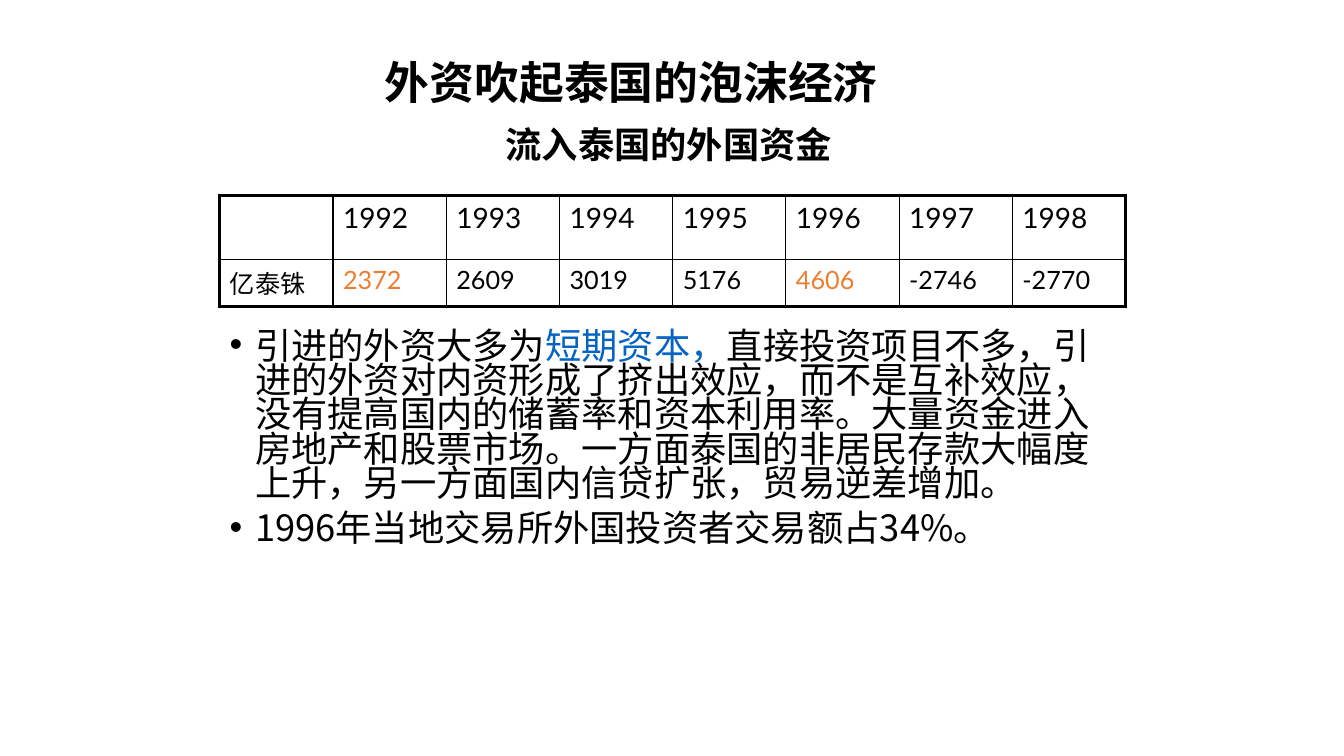
import lxml.etree
import pptx
import pptx.dml.color
import pptx.enum.text
import pptx.oxml.ns
import pptx.util

Cm = pptx.util.Cm
Pt = pptx.util.Pt
Align = pptx.enum.text.PP_ALIGN
Anchor = pptx.enum.text.MSO_ANCHOR
BLACK = pptx.dml.color.RGBColor(0x00, 0x00, 0x00)
ORANGE = pptx.dml.color.RGBColor(0xED, 0x7D, 0x31)
BLUE = pptx.dml.color.RGBColor(0x05, 0x63, 0xC1)
CHINESE_FONT = "Noto Sans CJK SC"
LATIN_FONT = "Lato"

YEARS = ["", "1992", "1993", "1994", "1995", "1996", "1997", "1998"]
INFLOWS = ["亿泰铢", "2372", "2609", "3019", "5176", "4606", "-2746", "-2770"]
HIGHLIGHTED = ("2372", "4606")
POINTS = [
    [
        ("引进的外资大多为", BLACK),
        ("短期资本，", BLUE),
        ("直接投资项目不多，引进的外资对内资形成了挤出效应，而不是互补效应，"
         "没有提高国内的储蓄率和资本利用率。大量资金进入房地产和股票市场。"
         "一方面泰国的非居民存款大幅度上升，另一方面国内信贷扩张，贸易逆差增加。", BLACK),
    ],
    [("1996年当地交易所外国投资者交易额占34%。", BLACK)],
]


def add_child(parent, tag, **attributes):
    """Append a DrawingML element and return it."""
    return lxml.etree.SubElement(parent, pptx.oxml.ns.qn(tag), **attributes)


def add_text(paragraph, text, size=25.9, color=BLACK, bold=False, font=CHINESE_FONT):
    """Add a formatted run to a paragraph."""
    run = paragraph.add_run()
    run.text = text
    run.font.size = Pt(size)
    run.font.bold = bold
    run.font.color.rgb = color
    run.font.name = font
    add_child(run.font._element, "a:ea", typeface=CHINESE_FONT)


def add_frame(slide, left, top, width, height, anchor):
    """Add a wrapping text box and return its text frame."""
    frame = slide.shapes.add_textbox(left, top, width, height).text_frame
    frame.word_wrap = True
    frame.vertical_anchor = anchor
    return frame


def add_heading(slide, left, top, width, height, text, size):
    """Add a bold centred heading."""
    paragraph = add_frame(slide, left, top, width, height, Anchor.MIDDLE).paragraphs[0]
    paragraph.alignment = Align.CENTER
    paragraph.line_spacing = 0.9
    add_text(paragraph, text, size=size, bold=True)


def set_borders(cell, widths):
    """Draw black cell borders from a mapping of side to width in points."""
    properties = cell._tc.get_or_add_tcPr()
    for position, side in enumerate("LRTB"):
        line = add_child(properties, f"a:ln{side}", w=str(Pt(widths[side])))
        add_child(add_child(line, "a:solidFill"), "a:srgbClr", val=str(BLACK))
        properties.insert(position, line)


def add_inflow_table(slide, left, top, width, row_heights):
    """Add the table of yearly capital inflows."""
    rows = [YEARS, INFLOWS]
    last_row, last_column = len(rows) - 1, len(YEARS) - 1
    table = slide.shapes.add_table(
        len(rows), len(YEARS), left, top, width, sum(row_heights)).table
    table.first_row = False
    table.horz_banding = False
    for row_index, (values, height, size) in enumerate(zip(rows, row_heights, (20, 18))):
        table.rows[row_index].height = height
        for column_index, value in enumerate(values):
            cell = table.cell(row_index, column_index)
            cell.fill.background()
            outer = {"L": column_index == 0, "R": column_index == last_column,
                     "T": row_index == 0, "B": row_index == last_row}
            set_borders(cell, {side: 2.25 if edge else 1 for side, edge in outer.items()})
            if value:
                color = ORANGE if value in HIGHLIGHTED else BLACK
                add_text(cell.text_frame.paragraphs[0], value, size=size,
                         color=color, font=LATIN_FONT)


def add_points(slide, left, top, width, height):
    """Add the bulleted commentary."""
    frame = add_frame(slide, left, top, width, height, Anchor.TOP)
    for index, runs in enumerate(POINTS):
        paragraph = frame.add_paragraph() if index else frame.paragraphs[0]
        paragraph.line_spacing = 0.79
        paragraph.space_before = Pt(7.5 if index else 0)
        properties = paragraph._p.get_or_add_pPr()
        properties.set("marL", str(Cm(0.64)))
        properties.set("indent", str(-Cm(0.64)))
        add_child(properties, "a:buFont", typeface="Arial")
        add_child(properties, "a:buChar", char="•")
        for text, color in runs:
            add_text(paragraph, text, color=color)


def main():
    """Build and save the slide."""
    presentation = pptx.Presentation()
    presentation.slide_width = Cm(33.87)
    presentation.slide_height = Cm(19.05)
    slide = presentation.slides.add_slide(presentation.slide_layouts[6])
    left = Cm(5.54)
    add_heading(slide, left, Cm(1.32), Cm(20.75), Cm(1.63), "外资吹起泰国的泡沫经济", 32)
    add_heading(slide, left, Cm(3), Cm(22.63), Cm(1.4), "流入泰国的外国资金", 25.9)
    add_inflow_table(slide, left, Cm(4.93), Cm(22.83), (Cm(1.6), Cm(1.19)))
    add_points(slide, left, Cm(8.23), Cm(22.63), Cm(7.7))
    presentation.save("out.pptx")


if __name__ == "__main__":
    main()
